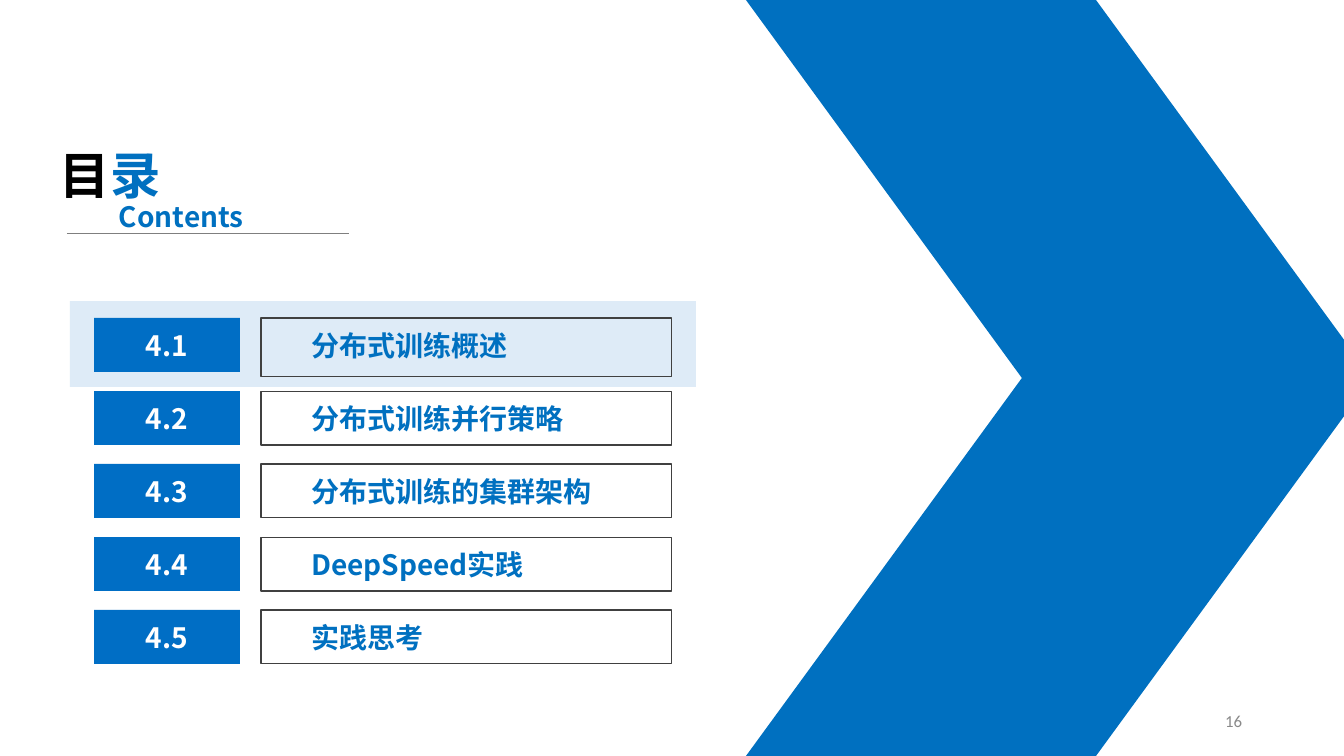
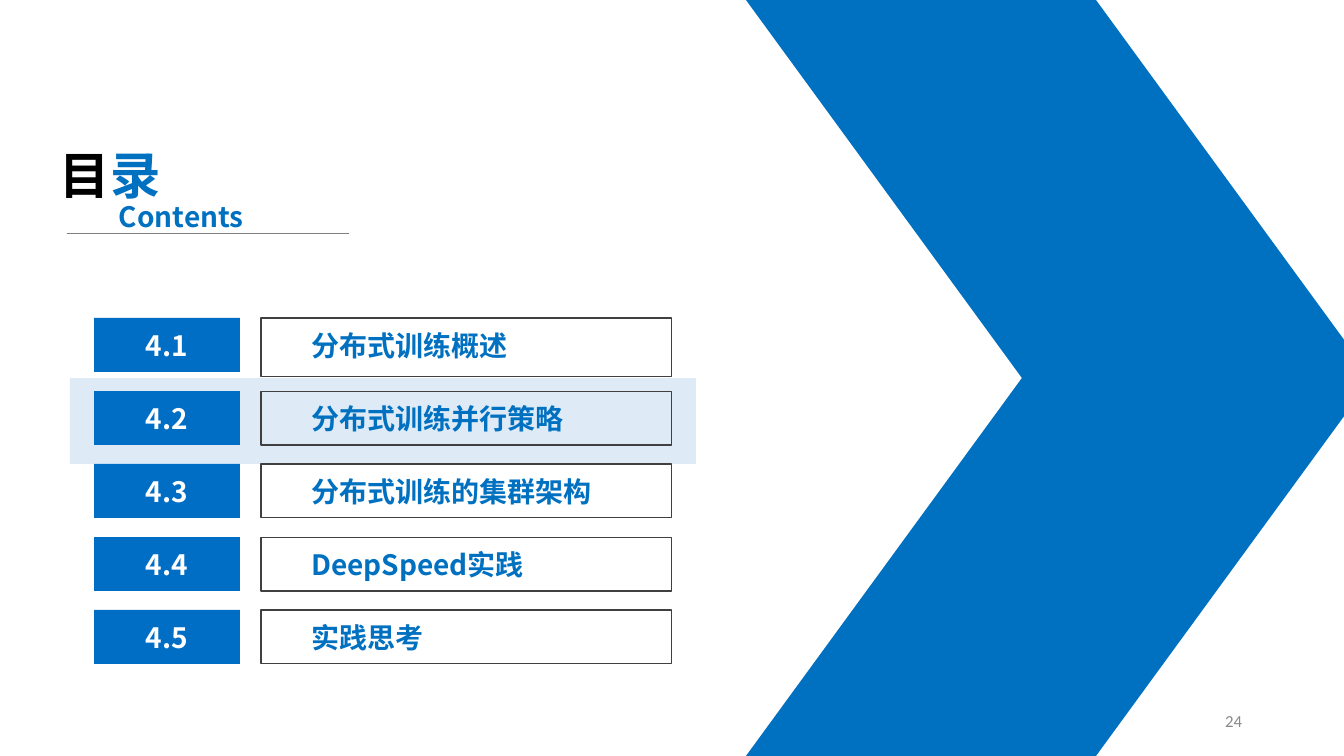
from lxml import etree
from pptx import Presentation
from pptx import util as u
from pptx.dml import color
from pptx.enum import shapes, text
from pptx.oxml import ns

SLIDE_W, SLIDE_H = 1344, 756
EMU_PER_PX = 12192000 / SLIDE_W
COLORS = {
    "accent": "0070C0",
    "badge": "006EC5",
    "highlight": "DEEBF7",
    "outline": "404040",
    "rule": "7F7F7F",
    "page": "898989",
    "black": "000000",
    "white": "FFFFFF",
}
HEADING_FONT, PAGE_FONT = "Noto Sans CJK SC", "Calibri"
CHAPTERS = [
    ("4.1", "分布式训练概述"),
    ("4.2", "分布式训练并行策略"),
    ("4.3", "分布式训练的集群架构"),
    ("4.4", "DeepSpeed实践"),
    ("4.5", "实践思考"),
]
ROW_PITCH, ROW_H, FIRST_OUTLINE_H = 73, 54, 59
HIGHLIGHT_PITCH = 77


def px(length):
    """Turn pixels into EMU."""
    return u.Emu(round(length * EMU_PER_PX))


def rgb(name):
    """Look up a palette colour."""
    return color.RGBColor.from_string(COLORS[name])


def style_run(run, size, hue, font=HEADING_FONT, bold=True):
    """Format one run, for Latin and East Asian letters alike."""
    run.font.size = u.Pt(size)
    run.font.bold = bold
    run.font.color.rgb = rgb(hue)
    run.font.name = font
    latin = run.font._element.find(ns.qn("a:latin"))
    east_asian = etree.Element(ns.qn("a:ea"))
    east_asian.set("typeface", font)
    latin.addnext(east_asian)


def add_block(slide, box, fill=None, line=None, kind=shapes.MSO_SHAPE.RECTANGLE):
    """Add a flat preset shape with an optional fill and outline."""
    block = slide.shapes.add_shape(kind, *map(px, box))
    block.shadow.inherit = False
    if fill:
        block.fill.solid()
        block.fill.fore_color.rgb = rgb(fill)
    else:
        block.fill.background()
    if line:
        block.line.color.rgb = rgb(line)
        block.line.width = u.Pt(0.75)
    else:
        block.line.fill.background()
    return block


def set_label(block, words, size, hue, align, anchor, font=HEADING_FONT, bold=True):
    """Write a single line of text into a shape or text box."""
    frame = block.text_frame
    frame.text = words
    frame.word_wrap = True
    frame.vertical_anchor = anchor
    frame.paragraphs[0].alignment = align
    style_run(frame.paragraphs[0].runs[0], size, hue, font, bold)


def add_arrow(slide, left, top, width, height):
    """Draw the large arrow from two mirrored parallelograms."""
    half = height / 2
    for part, mirrored in enumerate((True, False)):
        wing = add_block(slide, (left, top + part * half, width, half), "accent",
                         kind=shapes.MSO_SHAPE.PARALLELOGRAM)
        wing.adjustments[0] = 0.73
        if mirrored:
            wing._element.spPr.find(ns.qn("a:xfrm")).set("flipV", "1")


def add_heading(slide, left, top):
    """Place the two-colour heading, its subtitle and the rule below."""
    heading = slide.shapes.add_textbox(*map(px, (left, top, 158, 72)))
    set_label(heading, "目", 36, "black", text.PP_ALIGN.LEFT, text.MSO_ANCHOR.TOP)
    second = heading.text_frame.paragraphs[0].add_run()
    second.text = "录"
    style_run(second, 36, "accent")

    rule_y = px(top + 94)
    rule = slide.shapes.add_connector(shapes.MSO_CONNECTOR.STRAIGHT,
                                      px(left + 17), rule_y, px(left + 299), rule_y)
    rule.line.color.rgb = rgb("rule")
    rule.line.width = u.Pt(0.5)
    etree.SubElement(rule._element.spPr, ns.qn("a:effectLst"))

    subtitle = slide.shapes.add_textbox(*map(px, (left + 59, top + 56, 158, 44)))
    set_label(subtitle, "Contents", 20, "accent", text.PP_ALIGN.LEFT, text.MSO_ANCHOR.TOP)


def add_chapter(slide, left, top, number, title, outline_h):
    """Place one chapter row: number badge and outlined title."""
    outline = add_block(slide, (left + 167, top, 411, outline_h), line="outline")
    set_label(outline, title, 20, "accent", text.PP_ALIGN.LEFT, text.MSO_ANCHOR.TOP)
    outline.text_frame.margin_left = px(50)
    outline.text_frame.margin_top = px(10)
    badge = add_block(slide, (left, top, 146, ROW_H), "badge")
    set_label(badge, number, 20, "white", text.PP_ALIGN.CENTER, text.MSO_ANCHOR.MIDDLE)


def add_chapter_list(slide, left, top, active):
    """Place all chapter rows over the band that marks the active one."""
    add_block(slide, (left - 24, top - 17 + active * HIGHLIGHT_PITCH, 626, 86), "highlight")
    for row, (number, title) in enumerate(CHAPTERS):
        outline_h = ROW_H if row else FIRST_OUTLINE_H
        add_chapter(slide, left, top + row * ROW_PITCH, number, title, outline_h)


def add_page_number(slide, left, top, number):
    """Place the page number in the footer."""
    page = slide.shapes.add_textbox(*map(px, (left, top, 302, 40)))
    set_label(page, str(number), 12, "page", text.PP_ALIGN.RIGHT,
              text.MSO_ANCHOR.MIDDLE, PAGE_FONT, False)


def add_contents_slide(deck, active, page):
    """Build a contents slide with one chapter highlighted."""
    slide = deck.slides.add_slide(deck.slide_layouts[6])
    add_arrow(slide, 746, 0, 626, SLIDE_H)
    add_chapter_list(slide, 94, 318, active)
    add_heading(slide, 50, 139)
    add_page_number(slide, 950, 701, page)


def main():
    """Build and save the deck."""
    deck = Presentation()
    deck.slide_width, deck.slide_height = px(SLIDE_W), px(SLIDE_H)
    for active, page in enumerate((16, 24)):
        add_contents_slide(deck, active, page)
    deck.save("out.pptx")


if __name__ == "__main__":
    main()
